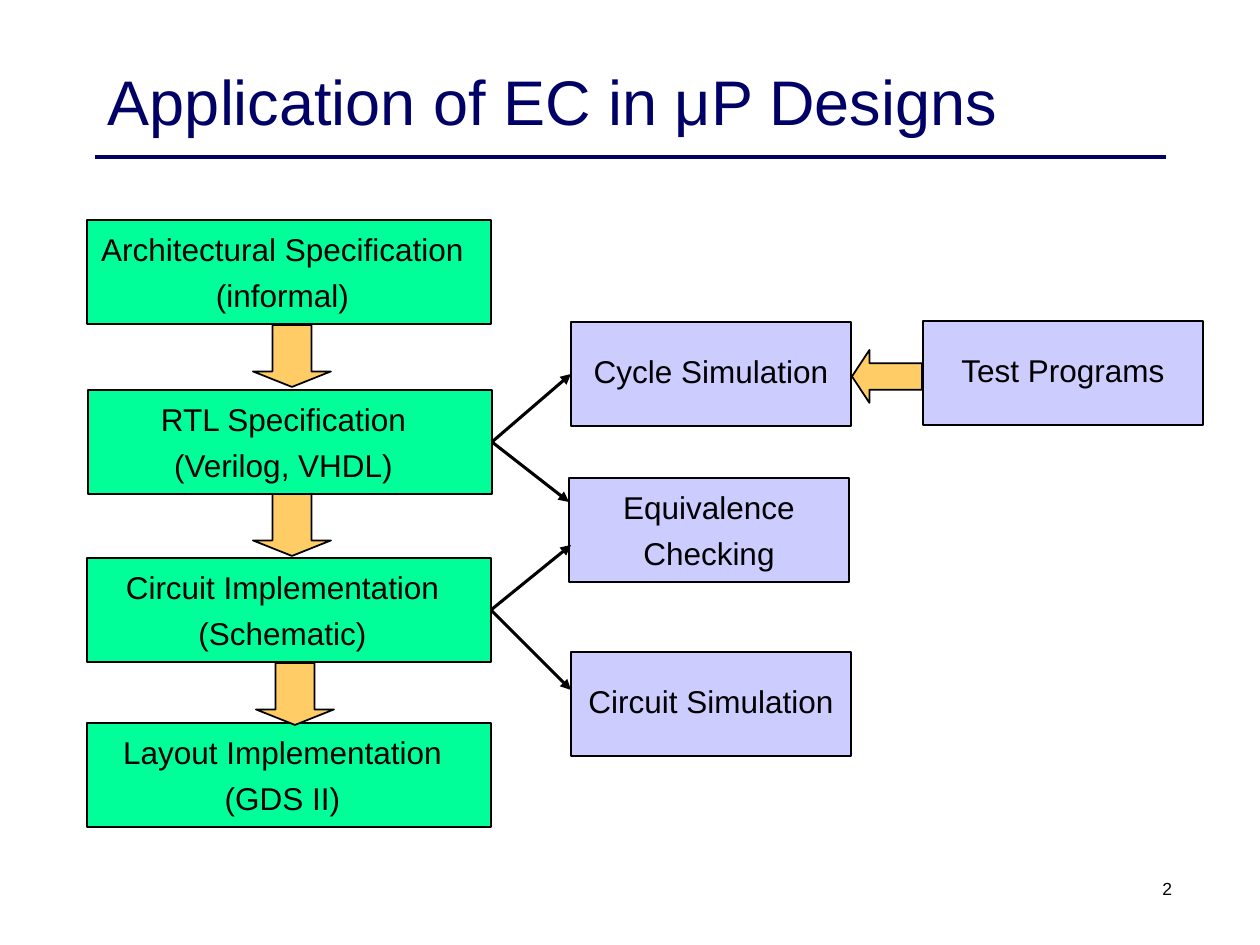
from pptx import Presentation
from pptx.dml.color import RGBColor
from pptx.enum.shapes import MSO_CONNECTOR, MSO_SHAPE
from pptx.enum.text import MSO_ANCHOR, PP_ALIGN
from pptx.oxml.ns import qn
from pptx.util import Pt
from lxml import etree

RECT, DOWN, BACK = MSO_SHAPE.RECTANGLE, MSO_SHAPE.DOWN_ARROW, MSO_SHAPE.LEFT_ARROW
LINE = MSO_CONNECTOR.STRAIGHT
LEFT, MID, RIGHT = PP_ALIGN.LEFT, PP_ALIGN.CENTER, PP_ALIGN.RIGHT
TOP, CENTER = MSO_ANCHOR.TOP, MSO_ANCHOR.MIDDLE
PX = 914400 // 126
NAVY, GREEN, LILAC, GOLD, BLACK = "000066", "00FF99", "CCCCFF", "FFCC66", "000000"

TITLE = "Application of EC in μP Designs"
STEPS = [
    ("arch", 87, 220, ["Architectural Specification", "(informal)"]),
    ("rtl", 88, 390, ["RTL Specification", "(Verilog, VHDL)"]),
    ("circuit", 87, 558, ["Circuit Implementation", "(Schematic)"]),
    ("layout", 87, 723, ["Layout Implementation", "(GDS II)"]),
]
CHECKS = [
    ("cycle", 571, 322, ["Cycle Simulation"]),
    ("equiv", 569, 478, ["Equivalence", "Checking"]),
    ("sim", 571, 652, ["Circuit Simulation"]),
    ("test", 923, 321, ["Test Programs"]),
]
ARROWS = [
    (DOWN, 253, 325, 78, 62, 0.25),
    (DOWN, 253, 494, 78, 62, 0.25),
    (DOWN, 256, 663, 78, 62, 0.25),
    (BACK, 852, 350, 70, 53, 0.33),
]
LINKS = [
    ("rtl", "cycle", 571, 374),
    ("rtl", None, 569, 502),
    ("circuit", None, 571, 545),
    ("circuit", None, 571, 690),
]
STEP_W, CHECK_W, BOX_H = 404, 280, 104


def color(text):
    return RGBColor.from_string(text)


def px(*nums):
    return [n * PX for n in nums]


def write(shape, lines, size=18, ink=BLACK, align=MID, anchor=CENTER,
          pad=(0, 0, 0, 0), wrap=False):
    frame = shape.text_frame
    frame.word_wrap = wrap
    frame.vertical_anchor = anchor
    (frame.margin_left, frame.margin_top,
     frame.margin_right, frame.margin_bottom) = px(*pad)
    for i, line in enumerate(lines):
        para = frame.add_paragraph() if i else frame.paragraphs[0]
        para.alignment = align
        para.space_before = Pt(4.5 if i else 0)
        run = para.add_run()
        run.text = line
        run.font.name = "Arial"
        run.font.size = Pt(size)
        run.font.color.rgb = color(ink)


def draw(kind, x, y, w, h, fill, width):
    shape = slide.shapes.add_shape(kind, *px(x, y, w, h))
    shape.shadow.inherit = False
    shape.fill.solid()
    shape.fill.fore_color.rgb = color(fill)
    shape.line.color.rgb = color(BLACK)
    shape.line.width = Pt(width)
    return shape


def join(x1, y1, x2, y2, ink, width, head=False):
    line = slide.shapes.add_connector(LINE, *px(x1, y1, x2, y2))
    line.line.color.rgb = color(ink)
    line.line.width = Pt(width)
    props = line._element.spPr
    if head:
        etree.SubElement(props.find(qn("a:ln")), qn("a:tailEnd"), type="triangle")
    etree.SubElement(props, qn("a:effectLst"))
    return line


deck = Presentation()
deck.slide_width, deck.slide_height = px(1260, 945)
slide = deck.slides.add_slide(deck.slide_layouts[5])

title = slide.shapes.title
title.left, title.top, title.width, title.height = px(95, 21, 1071, 158)
write(title, [TITLE], size=36, ink=NAVY, align=LEFT, pad=(13, 6, 13, 6), wrap=True)
join(95, 157, 1166, 157, NAVY, 2.25)

boxes = {}
for group, w, fill, right in [(STEPS, STEP_W, GREEN, 13), (CHECKS, CHECK_W, LILAC, 0)]:
    for name, x, y, lines in group:
        boxes[name] = draw(RECT, x, y, w, BOX_H, fill, 1.25)
        low = 6 if len(lines) == 1 else 0
        write(boxes[name], lines, pad=(0, 0, right, low))

for kind, x, y, w, h, tip in ARROWS:
    arrow = draw(kind, x, y, w, h, GOLD, 1)
    arrow.adjustments[0] = 0.5
    arrow.adjustments[1] = tip

for start, end, x, y in LINKS:
    link = join(490, y, x, y, BLACK, 1.75, head=True)
    link.begin_connect(boxes[start], 3)
    if end:
        link.end_connect(boxes[end], 1)
    else:
        link.end_x, link.end_y = px(x, y)

number = slide.shapes.add_textbox(*px(923, 872, 262, 63))
write(number, ["2"], size=10, align=RIGHT, anchor=TOP, pad=(13, 6, 13, 6), wrap=True)

deck.save("out.pptx")
